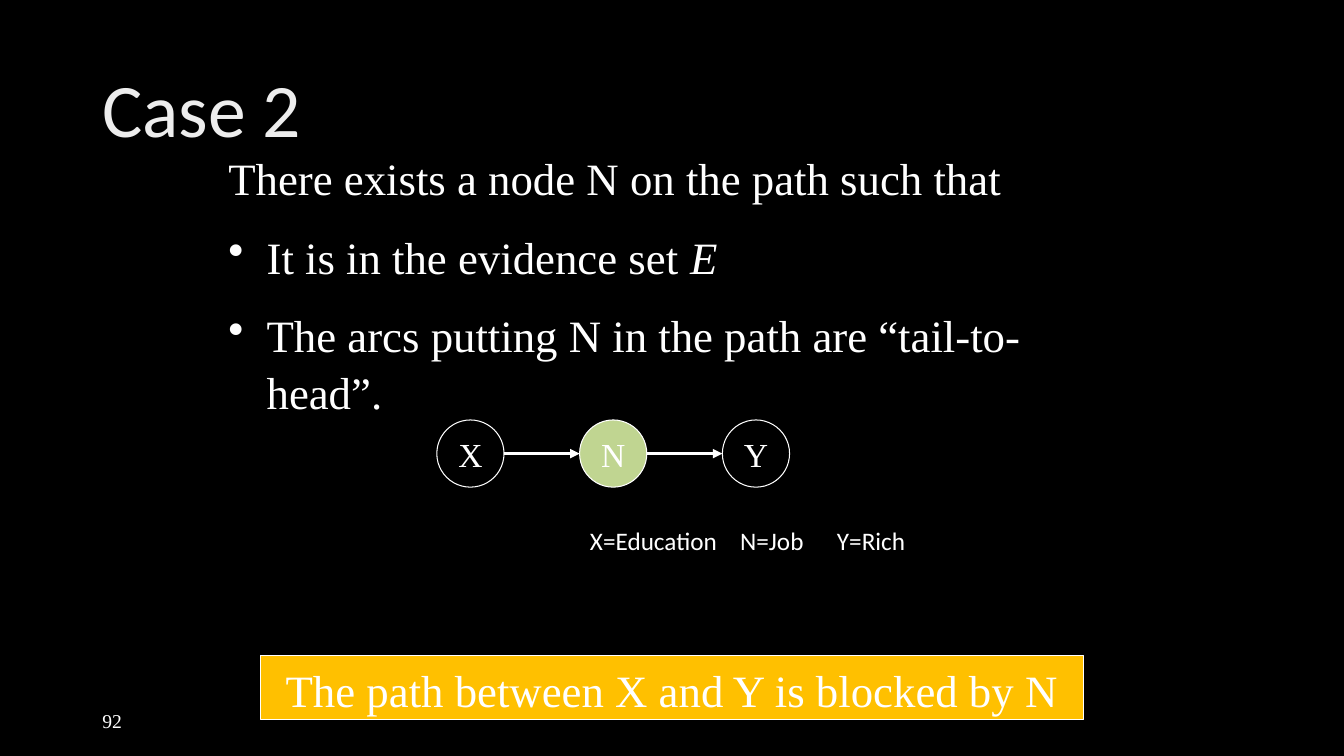
from lxml.etree import SubElement as Sub
from pptx import Presentation
from pptx.dml.color import RGBColor
from pptx.enum.shapes import MSO_CONNECTOR as Conn, MSO_SHAPE as Geo
from pptx.enum.text import MSO_ANCHOR as Anchor, PP_ALIGN as Align
from pptx.oxml.ns import qn
from pptx.util import Inches, Pt

UNIT = Inches(1) // 12  # the slide is a grid of 160 columns by 90 rows
COLS, ROWS = 160, 90
COLORS = {"back": "000000", "text": "FFFFFF", "title": "EDEDED",
          "node": "C0D591", "banner": "FFC000"}
SERIF, SANS = "Times New Roman", "Calibri"


def grid(*cells):
    return [round(cell * UNIT) for cell in cells]


def color(name):
    return RGBColor.from_string(COLORS[name])


def write(frame, paras, size, font=SERIF, tint="text", align=Align.LEFT,
          anchor=Anchor.TOP, wrap=True, lead=None, gap=0, style=None):
    """Fill a frame; each paragraph is a list of (text, italic) runs."""
    frame.word_wrap = wrap
    frame.vertical_anchor = anchor
    for i, runs in enumerate(paras):
        para = frame.paragraphs[0] if i == 0 else frame.add_paragraph()
        if style:
            style(para, i)
        para.alignment = align
        if lead:
            para.line_spacing = lead
        if i:
            para.space_before = Pt(gap)
        for text, slant in runs:
            run = para.add_run()
            run.text = text
            run.font.size = Pt(size)
            run.font.name = font
            run.font.italic = slant
            run.font.color.rgb = color(tint)


def label(slide, cells, paras, size, **form):
    box = slide.shapes.add_textbox(*grid(*cells))
    write(box.text_frame, paras, size, **form)
    return box


def block(slide, geo, cells, text, size, fill=None, **form):
    """Add an outlined shape with centred text."""
    shape = slide.shapes.add_shape(geo, *grid(*cells))
    shape.shadow.inherit = False
    if fill:
        shape.fill.solid()
        shape.fill.fore_color.rgb = color(fill)
    else:
        shape.fill.background()
    shape.line.color.rgb = color("text")
    shape.line.width = Pt(0.75)
    write(shape.text_frame, [[(text, False)]], size, align=Align.CENTER, **form)


def arrow(slide, start, end, row):
    line = slide.shapes.add_connector(Conn.STRAIGHT, *grid(start, row, end, row))
    line.line.color.rgb = color("text")
    line.line.width = Pt(2.25)
    Sub(line.line._get_or_add_ln(), qn("a:tailEnd"), type="triangle")
    Sub(line._element.spPr, qn("a:effectLst"))


def bullet(para, i):
    """Hang every paragraph, and mark all but the first."""
    props = para._p.get_or_add_pPr()
    hang = Inches(0.38)
    props.set("marL", str(hang))
    props.set("indent", str(-hang))
    if i:
        Sub(props, qn("a:buChar"), char="•")
    else:
        Sub(props, qn("a:buNone"))


def tabs(para, i):
    stops = Sub(para._p.get_or_add_pPr(), qn("a:tabLst"))
    for stop in (1.49, 2.45):
        Sub(stops, qn("a:tab"), pos=str(Inches(stop)), algn="l")


def chain(slide, names, left, top, size, step):
    """Draw a row of round nodes joined by arrows; N is the filled one."""
    for i, name in enumerate(names):
        col = left + i * step
        block(slide, Geo.OVAL, (col, top, size, size), name, 24,
              fill="node" if name == "N" else None,
              anchor=Anchor.MIDDLE, wrap=False)
        if i:
            arrow(slide, col - step + size, col, top + size / 2)


def main():
    deck = Presentation()
    deck.slide_width, deck.slide_height = grid(COLS, ROWS)
    slide = deck.slides.add_slide(deck.slide_layouts[6])
    back = slide.background.fill
    back.solid()
    back.fore_color.rgb = color("back")

    label(slide, (11, 83.4, 36, 4.8), [[("92", False)]], 14, anchor=Anchor.MIDDLE)
    label(slide, (11, 4.8, 138, 17.4), [[("Case 2", False)]], 54, font=SANS,
          tint="title", anchor=Anchor.MIDDLE, lead=0.9)
    label(slide, (26, 17, 104, 33.2), [
        [("There exists a node N on the path such that", False)],
        [("It is in the evidence set ", False), ("E", True)],
        [("The arcs putting N in the path are “tail-to-head”.", False)],
    ], 32, lead=1.05, gap=16, style=bullet)

    chain(slide, "XNY", left=52, top=50, size=8, step=17)
    key = label(slide, (43, 62, 66, 4.8), [[("X=Education\tN=Job\tY=Rich", False)]],
                18, font=SANS, style=tabs)
    key.text_frame.margin_left = Inches(2.27)
    block(slide, Geo.RECTANGLE, (31, 78, 98, 7.7),
          "The path between X and Y is blocked by N", 32, fill="banner", lead=1.05)
    deck.save("out.pptx")


if __name__ == "__main__":
    main()
